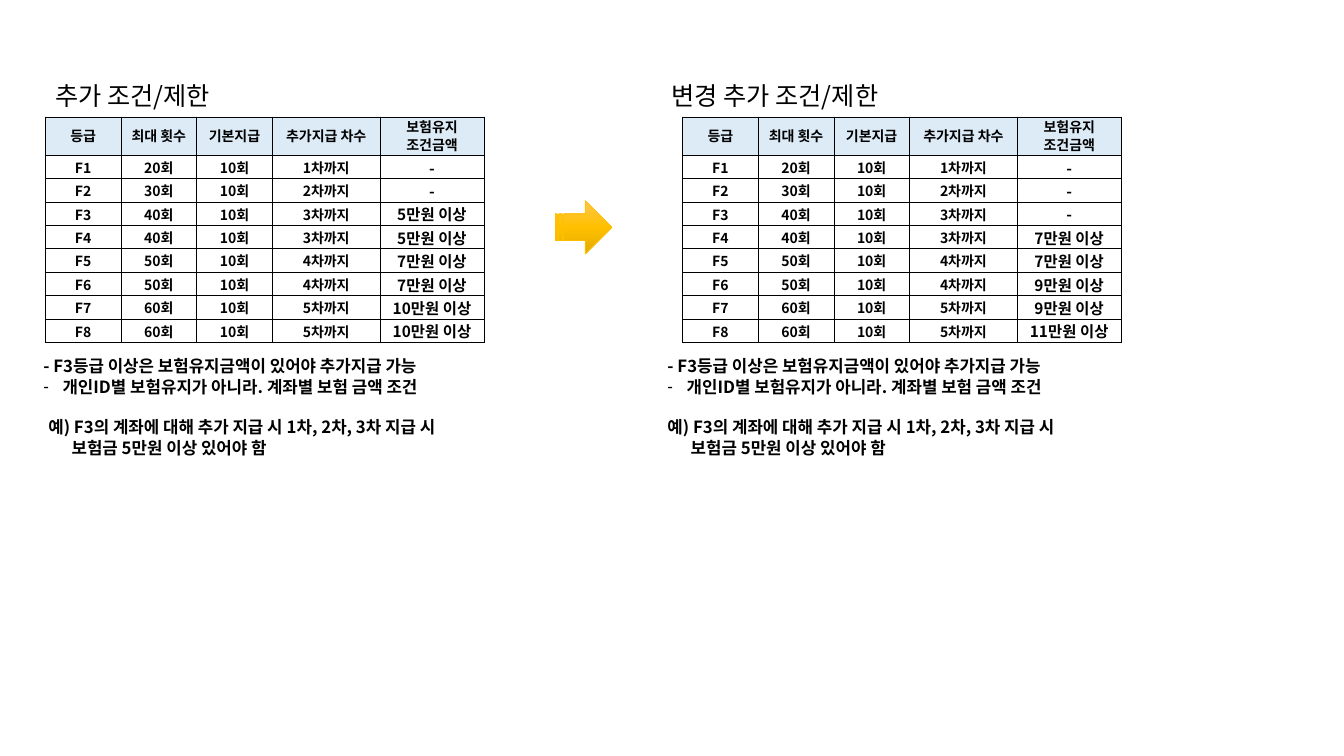
from copy import deepcopy
from dataclasses import dataclass

from pptx import Presentation
from pptx.dml.color import RGBColor
from pptx.enum.shapes import MSO_SHAPE
from pptx.enum.text import MSO_ANCHOR, MSO_AUTO_SIZE, PP_ALIGN
from pptx.oxml import parse_xml
from pptx.oxml.ns import nsdecls, qn
from pptx.shapes.autoshape import Shape
from pptx.slide import Slide
from pptx.table import _Cell as Cell
from pptx.text.text import TextFrame
from pptx.util import Inches, Pt


@dataclass(frozen=True)
class Theme:
    font: str = "Noto Sans CJK KR"
    ink: str = "000000"
    head: str = "DDEBF7"
    paper: str = "FFFFFF"
    gold: str = "FFC000"
    light: str = "FFC64B"
    dark: str = "E3AB00"
    title: int = 18
    note: int = 12
    sum: int = 11
    cell: int = 10


@dataclass(frozen=True)
class Line:
    text: str
    left: float = 0
    hang: float = 0
    mark: str = ""
    gap: float = 0


@dataclass(frozen=True)
class Panel:
    title: str
    title_id: int
    note_id: int
    title_x: float
    grid_x: float
    note_x: float
    shift: float
    sums: tuple[str, ...]


THEME = Theme()
TOP, GRID_Y, NOTE_Y, WIDE = 0.75, 1.16, 3.48, 4.85
LEAD = 14.5
COLS = (0.75, 0.75, 0.75, 1.07, 1.03)
HEAD_H, ROW_H = 0.38, 0.23
HEADS = ("등급", "최대 횟수", "기본지급", "추가지급 차수", "보험유지\v조건금액")
TURNS = (20, 30, 40, 40, 50, 50, 60, 60)
STEPS = (1, 2, 3, 3, 4, 4, 5, 5)

PANELS = (
    Panel("추가 조건/제한", 0, 2, 0.45, 0.45, 0.33, 0.05,
          ("-", "-", "5만원 이상", "5만원 이상", "7만원 이상", "7만원 이상",
           "10만원 이상", "10만원 이상")),
    Panel("변경 추가 조건/제한", 3, 4, 6.56, 6.77, 6.52, 0,
          ("-", "-", "-", "7만원 이상", "7만원 이상", "9만원 이상",
           "9만원 이상", "11만원 이상")),
)


def write(frame: TextFrame, lines: list[Line], *, size: int, bold: bool = False,
          align: PP_ALIGN = PP_ALIGN.LEFT, lead: float | None = None) -> None:
    for i, line in enumerate(lines):
        para = frame.paragraphs[0] if i == 0 else frame.add_paragraph()
        para.text = line.text
        para.alignment = align
        para.space_before = Pt(line.gap)
        para.space_after = Pt(0)
        if lead:
            para.line_spacing = Pt(lead)
        props = para._p.get_or_add_pPr()
        props.set("marL", str(Inches(line.left)))
        props.set("indent", str(Inches(line.hang)))
        mark = f'buChar {nsdecls("a")} char="{line.mark}"' if line.mark else f'buNone {nsdecls("a")}'
        props.append(parse_xml(f"<a:{mark}/>"))
        for run in para.runs:
            font = run.font
            font.size, font.bold, font.name = Pt(size), bold, THEME.font
            font.color.rgb = RGBColor.from_string(THEME.ink)
            run._r.rPr.append(parse_xml(f'<a:ea {nsdecls("a")} typeface="{THEME.font}"/>'))
        for stop in para._p.findall(qn("a:br")):
            stop.append(deepcopy(para.runs[0]._r.rPr))


def place(shape: Shape, x: float, y: float, w: float, h: float) -> TextFrame:
    shape.left, shape.top = Inches(x), Inches(y)
    shape.width, shape.height = Inches(w), Inches(h)
    frame = shape.text_frame
    frame.word_wrap = True
    frame.auto_size = MSO_AUTO_SIZE.NONE
    frame.vertical_anchor = MSO_ANCHOR.TOP
    return frame


def border(cell: Cell) -> None:
    props = cell._tc.get_or_add_tcPr()
    for side in "LRTB":
        props.append(parse_xml(
            f'<a:ln{side} {nsdecls("a")} w="{Pt(0.5)}"><a:solidFill>'
            f'<a:srgbClr val="{THEME.ink}"/></a:solidFill></a:ln{side}>'))


def draw_grid(slide: Slide, panel: Panel) -> None:
    rows = [HEADS] + [
        (f"F{i}", f"{turn}회", "10회", f"{step}차까지", total)
        for i, (turn, step, total) in enumerate(zip(TURNS, STEPS, panel.sums), 1)]
    tall = HEAD_H + ROW_H * len(TURNS)
    grid = slide.shapes.add_table(
        len(rows), len(COLS), Inches(panel.grid_x), Inches(GRID_Y),
        Inches(sum(COLS)), Inches(tall)).table
    grid.first_row = grid.horz_banding = False
    for col, wide in zip(grid.columns, COLS):
        col.width = Inches(wide)
    for r, row in enumerate(rows):
        grid.rows[r].height = Inches(ROW_H if r else HEAD_H)
        for c, text in enumerate(row):
            cell = grid.cell(r, c)
            last = r > 0 and c == len(COLS) - 1
            cell.margin_left = cell.margin_right = cell.margin_top = Inches(0.01)
            cell.margin_bottom = 0
            cell.vertical_anchor = MSO_ANCHOR.MIDDLE
            border(cell)
            if last:
                cell.fill.background()
            else:
                cell.fill.solid()
                cell.fill.fore_color.rgb = RGBColor.from_string(THEME.paper if r else THEME.head)
            write(cell.text_frame, [Line(text)], size=THEME.sum if last else THEME.cell,
                  bold=True, align=PP_ALIGN.CENTER, lead=None if r else 13)


def draw_panel(slide: Slide, panel: Panel) -> None:
    slots = {slot.placeholder_format.idx: slot for slot in slide.placeholders}
    frame = place(slots[panel.title_id], panel.title_x, TOP, WIDE, 0.4)
    write(frame, [Line(panel.title)], size=THEME.title, lead=21.6)
    draw_grid(slide, panel)
    frame = place(slots[panel.note_id], panel.note_x, NOTE_Y, WIDE, 1.11)
    write(frame, [
        Line("- F3등급 이상은 보험유지금액이 있어야 추가지급 가능"),
        Line("개인ID별 보험유지가 아니라. 계좌별 보험 금액 조건", 0.19, -0.19, "-"),
        Line("예) F3의 계좌에 대해 추가 지급 시 1차, 2차, 3차 지급 시", panel.shift, gap=LEAD),
        Line("보험금 5만원 이상 있어야 함", panel.shift + 0.23),
    ], size=THEME.note, bold=True, lead=LEAD)


def draw_arrow(slide: Slide) -> None:
    arrow = slide.shapes.add_shape(
        MSO_SHAPE.STRIPED_RIGHT_ARROW, Inches(5.51), Inches(1.99), Inches(0.56), Inches(0.53))
    arrow.shadow.inherit = False
    arrow.line.color.rgb = RGBColor.from_string(THEME.gold)
    arrow.line.width = Pt(0.5)
    stops = "".join(
        f'<a:gs pos="{i * 50000}"><a:srgbClr val="{tone}"/></a:gs>'
        for i, tone in enumerate((THEME.light, THEME.gold, THEME.dark)))
    fade = parse_xml(
        f'<a:gradFill {nsdecls("a")} rotWithShape="1"><a:gsLst>{stops}</a:gsLst>'
        '<a:lin ang="5400000" scaled="0"/></a:gradFill>')
    arrow._element.spPr.find(qn("a:prstGeom")).addnext(fade)


def main() -> None:
    deck = Presentation()
    deck.slide_width, deck.slide_height = Inches(13.33), Inches(7.5)
    slide = deck.slides.add_slide(deck.slide_layouts[4])
    for panel in PANELS:
        draw_panel(slide, panel)
    draw_arrow(slide)
    for slot in list(slide.placeholders):
        if not slot.text_frame.text:
            slot._element.getparent().remove(slot._element)
    deck.save("out.pptx")


if __name__ == "__main__":
    main()
